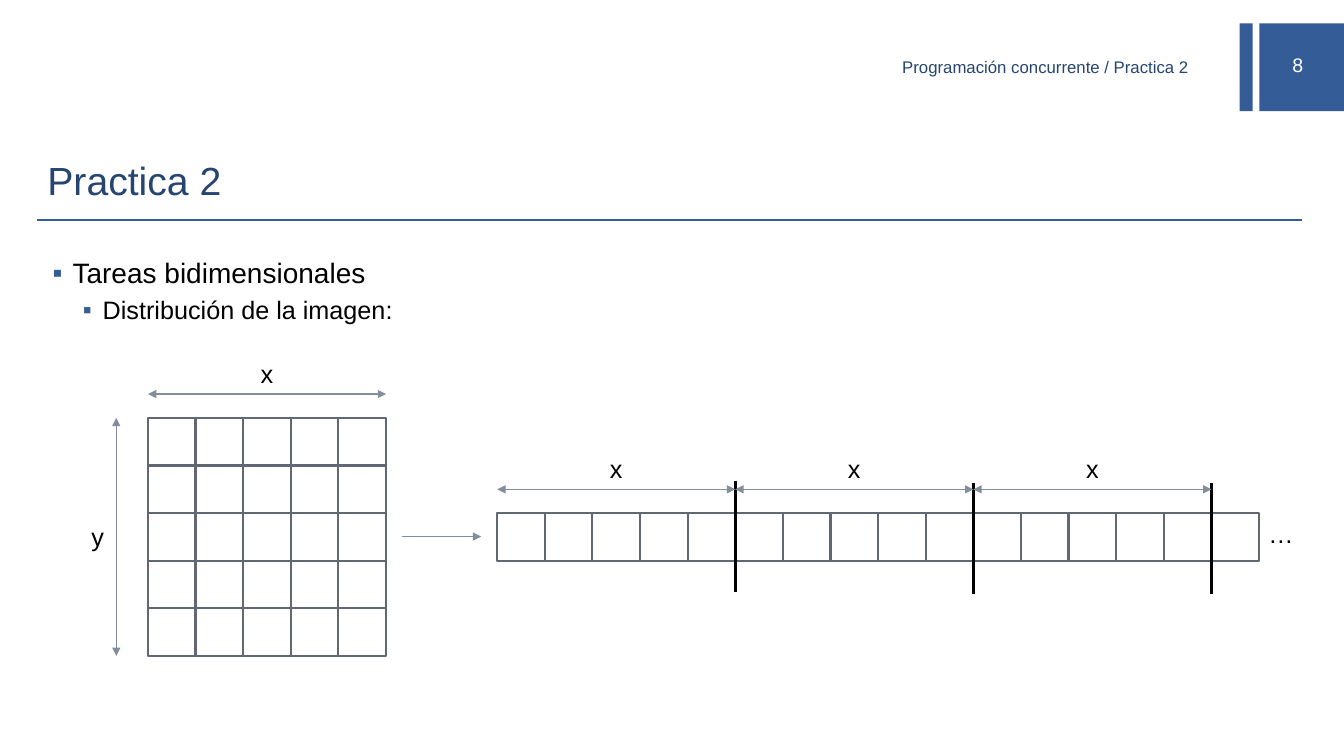
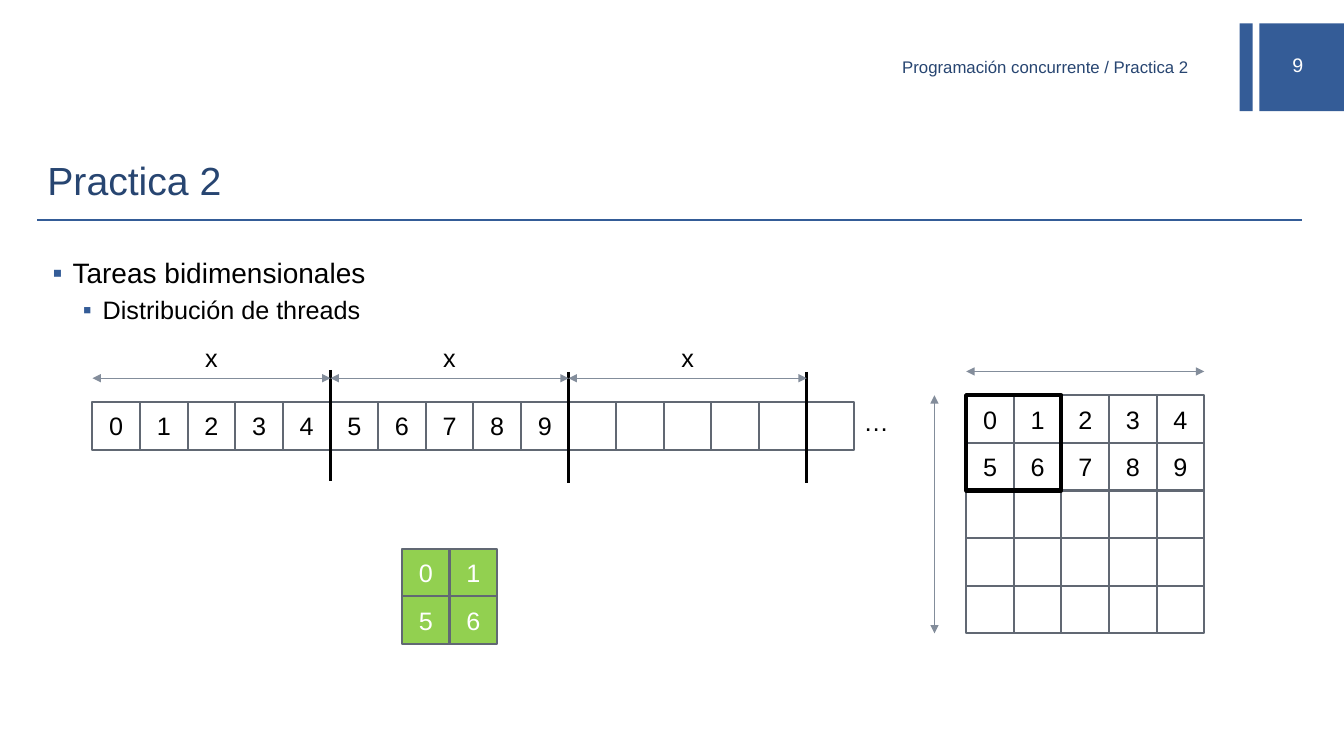
from collections import namedtuple

from lxml import etree
from pptx import Presentation
from pptx.dml.color import RGBColor
from pptx.enum.shapes import MSO_CONNECTOR, MSO_SHAPE
from pptx.enum.text import MSO_ANCHOR, PP_ALIGN
from pptx.oxml.ns import qn
from pptx.util import Cm, Pt

RECTANGLE = MSO_SHAPE.RECTANGLE
STRAIGHT = MSO_CONNECTOR.STRAIGHT
MIDDLE, TOP = MSO_ANCHOR.MIDDLE, MSO_ANCHOR.TOP
LEFT, CENTER, RIGHT = PP_ALIGN.LEFT, PP_ALIGN.CENTER, PP_ALIGN.RIGHT

Box = namedtuple("Box", "left top width height")

FONT = "Arial"
BLUE, NAVY, GREEN = "345C97", "274571", "92D050"
BLACK, WHITE = "000000", "FFFFFF"
CELL_LINE, ARROW_LINE = "616873", "838D9B"
TITLE_LAYOUT = 5
CELL = 1.2
GROUP = 5
ARROW_GAP = 0.6
LABEL_GAP = 1.12
TITLE_BOX = Box(0.94, 3.53, 31.88, 2.01)
BODY_BOX = Box(0.94, 6.32, 31.88, 11.2)
HEADER_BOX = Box(16.87, 1.32, 13.34, 0.84)
NUMBER_BOX = Box(31.6, 1.12, 2.21, 1.02)
BANDS = [Box(31.24, 0.59, 0.33, 2.21), Box(31.74, 0.59, 2.13, 2.21)]


def color(value):
    return RGBColor.from_string(value)


def lengths(box):
    return [Cm(value) for value in box]


def set_values(target, values):
    for name, value in values.items():
        setattr(target, name, value)


def write_text(frame, text, size, ink, align=CENTER, anchor=MIDDLE, **values):
    set_values(frame, {"word_wrap": True, "vertical_anchor": anchor, **values})
    para = frame.paragraphs[0]
    para.alignment = align
    add_span(para, text, size, ink)


def add_span(para, text, size, ink):
    span = para.add_run()
    span.text = text
    set_values(span.font, {"name": FONT, "size": Pt(size)})
    span.font.color.rgb = color(ink)


def add_text(page, box, text, size, ink, **values):
    shape = page.shapes.add_textbox(*lengths(box))
    write_text(shape.text_frame, text, size, ink, **values)


def add_rectangle(page, box, fill=None, line=None, width=1.5):
    shape = page.shapes.add_shape(RECTANGLE, *lengths(box))
    shape.shadow.inherit = False
    if fill:
        shape.fill.solid()
        shape.fill.fore_color.rgb = color(fill)
    else:
        shape.fill.background()
    if line:
        shape.line.color.rgb = color(line)
        shape.line.width = Pt(width)
    else:
        shape.line.fill.background()
    return shape


def add_line(page, start, end, ink=ARROW_LINE, width=1, heads=()):
    connector = page.shapes.add_connector(STRAIGHT, *lengths(start + end))
    connector.line.color.rgb = color(ink)
    connector.line.width = Pt(width)
    properties = connector.element.spPr
    outline = properties.find(qn("a:ln"))
    for head in heads:
        etree.SubElement(outline, qn(f"a:{head}"), type="triangle")
    etree.SubElement(properties, qn("a:effectLst"))


def add_double_arrow(page, start, end):
    add_line(page, start, end, heads=("headEnd", "tailEnd"))


def add_label(page, center_x, center_y, text, width=0.84):
    height = 1.02
    box = Box(center_x - width / 2, center_y - height / 2, width, height)
    add_text(page, box, text, 18, BLACK, word_wrap=False)


def add_cells(page, left, top, rows, fill=None, ink=BLACK):
    for row, values in enumerate(rows):
        for column, value in enumerate(values):
            box = Box(left + column * CELL, top + row * CELL, CELL, CELL)
            cell = add_rectangle(page, box, fill, CELL_LINE)
            if value:
                write_text(cell.text_frame, value, 18, ink)


def add_matrix(page, left, top, rows, labels=None):
    side = GROUP * CELL
    add_cells(page, left, top, rows)
    arrow_x, arrow_y = left - 0.8, top - ARROW_GAP
    add_double_arrow(page, (left, arrow_y), (left + side, arrow_y))
    add_double_arrow(page, (arrow_x, top), (arrow_x, top + side))
    if labels:
        across, down = labels
        add_label(page, left + side / 2, top - LABEL_GAP, across)
        add_label(page, arrow_x - 0.47, top + side / 2, down)


def add_strip(page, left, top, values):
    add_cells(page, left, top, [values])
    step = GROUP * CELL
    for group, rise in enumerate((0.81, 0.76, 0.76)):
        start = left + group * step
        end = start + step
        add_line(page, (end, top - rise), (end, top - rise + 2.8), BLACK, 2.25)
        arrow_y = top - ARROW_GAP
        add_double_arrow(page, (start, arrow_y), (end, arrow_y))
        add_label(page, start + step / 2, top - LABEL_GAP, "x")
    add_label(page, left + len(values) * CELL + 0.55, top + 0.5, "…", 1.14)


def add_bullets(page, box, items):
    frame = page.shapes.add_textbox(*lengths(box)).text_frame
    frame.word_wrap = True
    for level, text in enumerate(items):
        para = frame.add_paragraph() if level else frame.paragraphs[0]
        size = 20 - 2 * level
        set_values(para, {"level": level, "space_before": Pt(size * 0.2)})
        add_span(para, text, size, BLACK)
        properties = para._p.get_or_add_pPr()
        properties.set("marL", str(Cm(0.64 + 0.76 * level)))
        properties.set("indent", str(Cm(-0.5)))
        bullet_color = etree.SubElement(properties, qn("a:buClr"))
        etree.SubElement(bullet_color, qn("a:srgbClr"), val=BLUE)
        etree.SubElement(properties, qn("a:buFont"), typeface=FONT)
        etree.SubElement(properties, qn("a:buChar"), char="▪")


def add_page(deck, number, subtitle):
    page = deck.slides.add_slide(deck.slide_layouts[TITLE_LAYOUT])
    title = page.shapes.title
    set_values(title, dict(zip(Box._fields, lengths(TITLE_BOX))))
    write_text(title.text_frame, "Practica 2", 28, NAVY, align=LEFT)
    for band in BANDS:
        add_rectangle(page, band, BLUE)
    add_text(page, NUMBER_BOX, str(number), 14, WHITE)
    rule_y = TITLE_BOX.top + TITLE_BOX.height
    add_line(page, (TITLE_BOX.left, rule_y),
             (TITLE_BOX.left + TITLE_BOX.width, rule_y), BLUE)
    add_text(page, HEADER_BOX, "Programación concurrente / Practica 2", 12, NAVY,
             align=RIGHT, margin_top=0, margin_bottom=Cm(0.13))
    add_bullets(page, BODY_BOX, ["Tareas bidimensionales", subtitle])
    return page


def add_image_page(deck):
    page = add_page(deck, 8, "Distribución de la imagen:")
    add_matrix(page, 3.73, 10.53, [[""] * GROUP] * GROUP, labels=("x", "y"))
    add_line(page, (10.13, 13.52), (12.13, 13.52), heads=("tailEnd",))
    add_strip(page, 12.53, 12.93, [""] * 16)


def add_threads_page(deck):
    page = add_page(deck, 9, "Distribución de threads")
    digits = list("0123456789")
    add_strip(page, 2.33, 10.13, digits + [""] * 6)
    add_cells(page, 10.13, 13.83, ["01", "56"], GREEN, WHITE)
    left, top = 24.35, 9.96
    rows = [digits[:GROUP], digits[GROUP:]] + [[""] * GROUP] * 3
    add_matrix(page, left, top, rows)
    add_rectangle(page, Box(left, top, 2 * CELL, 2 * CELL), line=BLACK, width=3)


def main():
    deck = Presentation()
    set_values(deck, {"slide_width": Cm(33.87), "slide_height": Cm(19.05)})
    add_image_page(deck)
    add_threads_page(deck)
    deck.save("out.pptx")


main()
